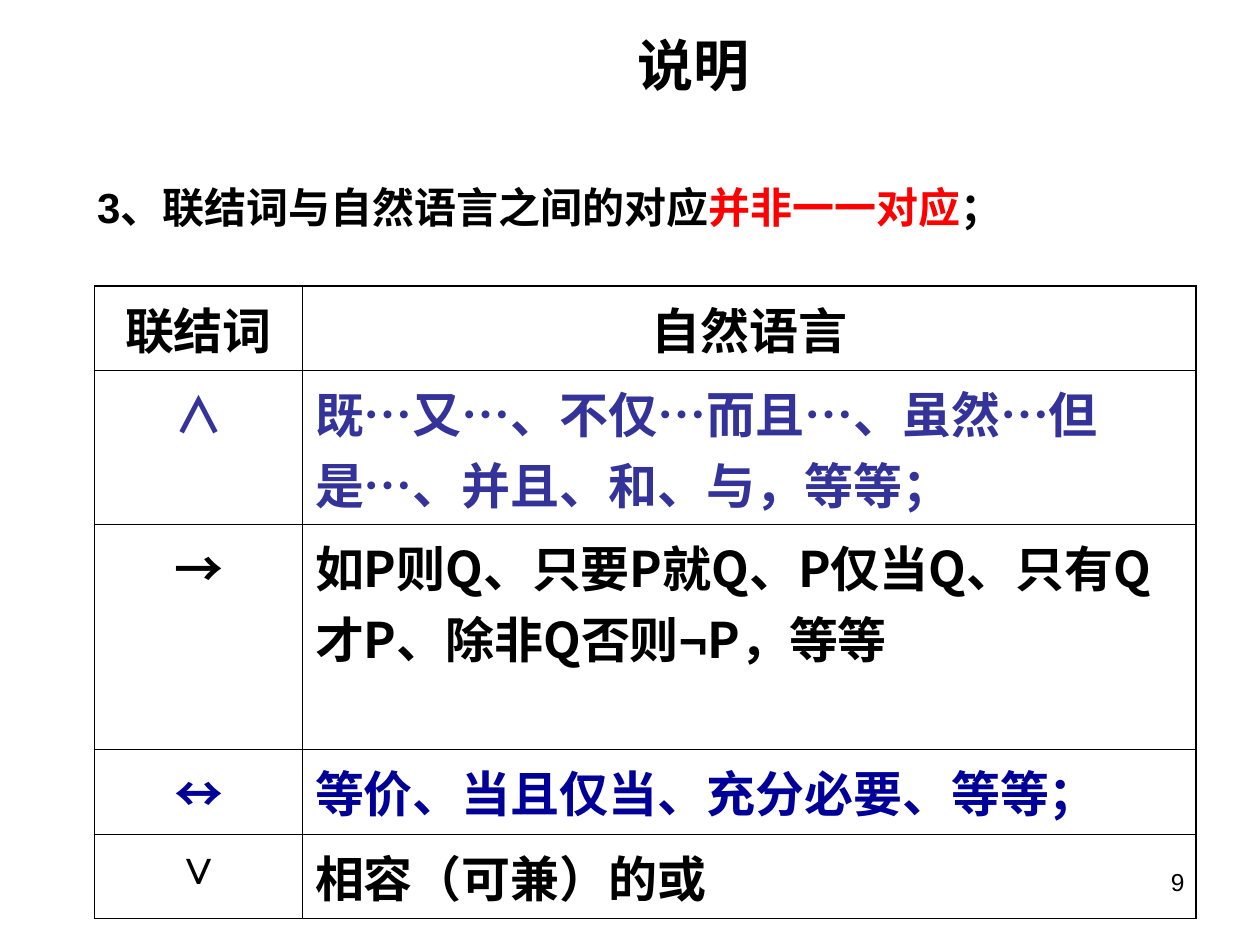
from lxml import etree
from pptx import Presentation
from pptx import util as u
from pptx.dml.color import RGBColor
from pptx.enum import text
from pptx.oxml import ns

BLACK = RGBColor(0x00, 0x00, 0x00)
WHITE = RGBColor(0xFF, 0xFF, 0xFF)
RED = RGBColor(0xFF, 0x00, 0x00)
INDIGO = RGBColor(0x33, 0x33, 0x99)
NAVY = RGBColor(0x00, 0x00, 0x99)
LATIN, CJK = "Arial", "Noto Sans CJK SC"
THIN, THICK = 0.45, 1.08
CENTER, LEFT, RIGHT = text.PP_ALIGN.CENTER, text.PP_ALIGN.LEFT, text.PP_ALIGN.RIGHT


class SlideBuilder:
    """Holds the text style and the current slide, and adds its elements."""

    def __init__(self, deck):
        self.slide = deck.slides.add_slide(deck.slide_layouts[1])
        self.slide.background.fill.solid()
        self.slide.background.fill.fore_color.rgb = WHITE

    def set_face(self, font, face):
        font.name = face
        etree.SubElement(font._element, ns.qn("a:ea"), typeface=face)

    def fill_paragraph(self, paragraph, parts, size, face=LATIN, color=BLACK, bold=True, align=LEFT):
        paragraph.alignment = align
        paragraph.space_before = u.Pt(0)
        font = paragraph.font
        font.size, font.bold = u.Pt(size), bold
        font.color.rgb = color
        self.set_face(font, face)
        for wording, run_color, run_face in parts:
            run = paragraph.add_run()
            run.text = wording
            if run_color is not None:
                run.font.color.rgb = run_color
            if run_face is not None:
                self.set_face(run.font, run_face)

    def place(self, holder, left, top, width, height):
        holder.left, holder.top = u.Inches(left), u.Inches(top)
        holder.width, holder.height = u.Inches(width), u.Inches(height)
        frame = holder.text_frame
        frame.word_wrap = True
        frame.auto_size = text.MSO_AUTO_SIZE.NONE
        return frame

    def title(self, wording, *box):
        frame = self.place(self.slide.shapes.title, *box)
        frame.vertical_anchor = text.MSO_ANCHOR.MIDDLE
        self.fill_paragraph(frame.paragraphs[0], plain(wording), 32, align=CENTER)

    def body(self, parts, *box):
        paragraph = self.place(self.slide.placeholders[1], *box).paragraphs[0]
        paragraph.line_spacing = 1.2
        properties = paragraph._p.get_or_add_pPr()
        properties.set("marL", str(u.Inches(0.58)))
        properties.set("indent", str(u.Inches(-0.58)))
        etree.SubElement(properties, ns.qn("a:buNone"))
        self.fill_paragraph(paragraph, parts, 24)

    def page_number(self, number, *box):
        holder = self.slide.shapes.add_textbox(*map(u.Inches, box))
        frame = self.place(holder, *box)
        self.fill_paragraph(frame.paragraphs[0], plain(number), 14, bold=False, align=RIGHT)

    def border(self, cell, side, width):
        properties = cell._tc.get_or_add_tcPr()
        line = etree.SubElement(properties, ns.qn(f"a:ln{side}"), w=str(u.Pt(width)))
        fill = etree.SubElement(line, ns.qn("a:solidFill"))
        etree.SubElement(fill, ns.qn("a:srgbClr"), val=str(BLACK))

    def table(self, rows, widths, heights, left, top):
        box = (left, top, sum(widths), sum(heights))
        table = self.slide.shapes.add_table(len(rows), len(widths), *map(u.Inches, box)).table
        table.first_row = table.horz_banding = False
        for column, width in zip(table.columns, widths):
            column.width = u.Inches(width)
        for row, height in zip(table.rows, heights):
            row.height = u.Inches(height)
        last_row, last_column = len(rows) - 1, len(widths) - 1
        for r, (connective, phrases, color, symbol_face) in enumerate(rows):
            contents = ([(connective, None, symbol_face)], phrases)
            for c, parts in enumerate(contents):
                cell = table.cell(r, c)
                outer = {"L": c == 0, "R": c == last_column, "T": r == 0, "B": r == last_row}
                for side, is_outer in outer.items():
                    self.border(cell, side, THICK if is_outer else THIN)
                cell.fill.background()
                align = CENTER if r == 0 or c == 0 else LEFT
                self.fill_paragraph(cell.text_frame.paragraphs[0], parts, 28, CJK, color, align=align)


def plain(wording):
    return [(wording, None, None)]


def main():
    deck = Presentation()
    deck.slide_width, deck.slide_height = u.Inches(10), u.Inches(7.5)
    builder = SlideBuilder(deck)
    builder.title("说明", 2.16, 0.28, 6.69, 0.46)
    claim = [
        ("3、联结词与自然语言之间的对应", None, None),
        ("并非一一对应", RED, None),
        ("；", None, None),
    ]
    builder.body(claim, 0.67, 1.31, 8.9, 0.71)
    implication = [
        ("如P则Q、只要P就Q、P仅当Q、只有Q才P、除非Q否则", None, None),
        ("¬", None, LATIN),
        ("P，等等", None, None),
    ]
    connectives = [
        ("联结词", plain("自然语言"), BLACK, None),
        ("∧", plain("既…又…、不仅…而且…、虽然…但是…、并且、和、与，等等；"), INDIGO, None),
        ("→", implication, BLACK, None),
        ("↔", plain("等价、当且仅当、充分必要、等等；"), NAVY, None),
        ("∨", plain("相容（可兼）的或"), BLACK, LATIN),
    ]
    builder.table(connectives, [1.65, 7.09], [0.67, 1.12, 1.12, 0.67, 0.67], 0.75, 2.27)
    builder.page_number("9", 7.17, 6.83, 2.33, 0.52)
    deck.save("out.pptx")


if __name__ == "__main__":
    main()
